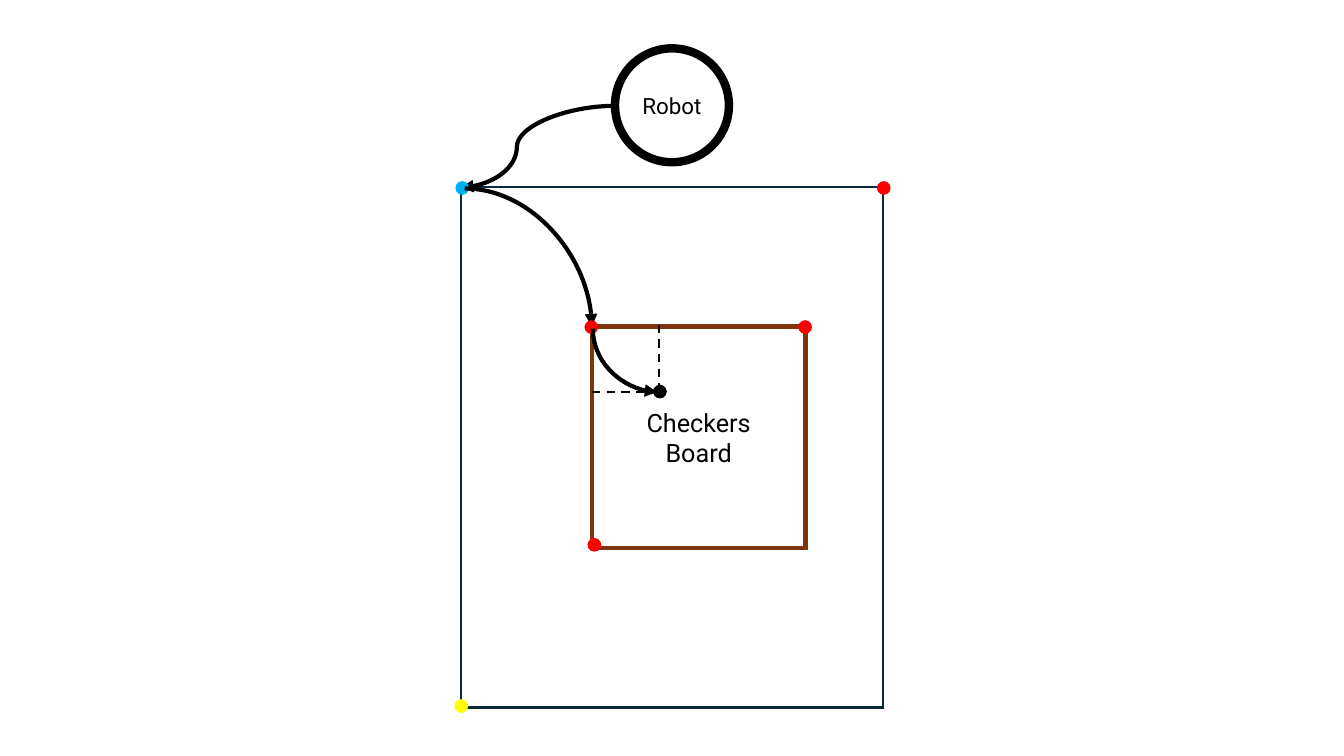
import dataclasses

import pptx
import pptx.dml.color
import pptx.enum.dml
import pptx.enum.shapes
import pptx.enum.text
import pptx.oxml.ns
import pptx.util
from lxml import etree

Inches = pptx.util.Inches
Pt = pptx.util.Pt
qn = pptx.oxml.ns.qn
SHAPES = pptx.enum.shapes.MSO_SHAPE
CONNECTORS = pptx.enum.shapes.MSO_CONNECTOR


@dataclasses.dataclass(frozen=True)
class Theme:
    font: str = "Roboto"
    ink: str = "000000"
    table_edge: str = "092A39"
    board_edge: str = "80350E"
    origin: str = "00B0F0"
    corner: str = "FF0000"
    far_corner: str = "FFFF00"
    robot_size: int = 16
    board_size: int = 18
    thin: float = 1.5
    medium: float = 3
    thick: float = 6
    dot: float = 0.05


class Diagram:
    def __init__(self, slide, theme):
        self.slide = slide
        self.theme = theme

    def stroke(self, line, color, width):
        line.color.rgb = pptx.dml.color.RGBColor.from_string(color)
        line.width = Pt(width)

    def outline(self, kind, left, top, width, height, color, weight):
        """Unfilled shape with a sharp-cornered outline."""
        figure = self.slide.shapes.add_shape(
            kind, Inches(left), Inches(top), Inches(width), Inches(height))
        figure.shadow.inherit = False
        figure.fill.background()
        self.stroke(figure.line, color, weight)
        etree.SubElement(figure.line._get_or_add_ln(), qn("a:miter"), lim="800000")
        return figure

    def label(self, figure, lines, size):
        """Centred text, one paragraph per line."""
        frame = figure.text_frame
        frame.word_wrap = True
        frame.vertical_anchor = pptx.enum.text.MSO_ANCHOR.MIDDLE
        frame.text = "\n".join(lines)
        for paragraph in frame.paragraphs:
            paragraph.alignment = pptx.enum.text.PP_ALIGN.CENTER
            paragraph.font.name = self.theme.font
            paragraph.font.size = Pt(size)
            paragraph.font.color.rgb = pptx.dml.color.RGBColor.from_string(self.theme.ink)

    def dot(self, left, top, color):
        size = self.theme.dot
        self.outline(SHAPES.OVAL, left, top, size, size, color, self.theme.thick)

    def connect(self, kind, start, end, weight):
        link = self.slide.shapes.add_connector(
            kind, *(Inches(value) for value in (*start, *end)))
        self.stroke(link.line, self.theme.ink, weight)
        etree.SubElement(link._element.spPr, qn("a:effectLst"))
        return link

    def guide(self, start, end):
        link = self.connect(CONNECTORS.STRAIGHT, start, end, self.theme.thin)
        link.line.dash_style = pptx.enum.dml.MSO_LINE.DASH

    def arrow(self, start, end, bend=None, down_first=False):
        """Curved arrow: an S with its turn at bend, otherwise a quarter turn."""
        if down_first:
            # A quarter turn that leaves downwards is a mirrored box rotated by 270 degrees
            (x1, y1), (x2, y2) = start, end
            middle_x, middle_y = (x1 + x2) / 2, (y1 + y2) / 2
            half_w, half_h = (y2 - y1) / 2, (x2 - x1) / 2
            start = middle_x + half_w, middle_y - half_h
            end = middle_x - half_w, middle_y + half_h
        link = self.connect(CONNECTORS.CURVE, start, end, self.theme.medium)
        properties = link._element.spPr
        if down_first:
            properties.find(qn("a:xfrm")).set("rot", str(270 * 60000))
        geometry = properties.find(qn("a:prstGeom"))
        if bend is None:
            geometry.set("prst", "curvedConnector2")
        else:
            etree.SubElement(geometry.find(qn("a:avLst")), qn("a:gd"),
                             name="adj1", fmla=f"val {round(bend * 100000)}")
        etree.SubElement(link.line._get_or_add_ln(), qn("a:tailEnd"), type="triangle")


def main():
    deck = pptx.Presentation()
    deck.slide_width, deck.slide_height = Inches(13.33), Inches(7.5)
    theme = Theme()
    diagram = Diagram(deck.slides.add_slide(deck.slide_layouts[6]), theme)

    # Robot and the table it works on
    robot = diagram.outline(SHAPES.OVAL, 6.1, 0.48, 1.13, 1.13, theme.ink, theme.thick)
    diagram.label(robot, ["Robot"], theme.robot_size)
    diagram.outline(SHAPES.RECTANGLE, 4.57, 1.86, 4.19, 5.16, theme.table_edge, theme.thin)
    diagram.arrow((6.1, 1.05), (4.57, 1.86), bend=0.636)

    # Table corners
    for left, top, color in ((4.56, 1.84, theme.origin),
                             (8.74, 1.84, theme.corner),
                             (4.55, 6.98, theme.far_corner)):
        diagram.dot(left, top, color)

    # Checkers board and its corners
    board = diagram.outline(SHAPES.RECTANGLE, 5.87, 3.24, 2.12, 2.2,
                            theme.board_edge, theme.medium)
    diagram.label(board, ["Checkers", "Board"], theme.board_size)
    diagram.arrow((4.61, 1.87), (5.87, 3.24))
    for left, top in ((5.84, 3.22), (7.96, 3.22), (5.87, 5.38)):
        diagram.dot(left, top, theme.corner)

    # Target point with its offsets from the board corner
    diagram.dot(6.52, 3.86, theme.ink)
    diagram.guide((5.87, 3.89), (6.52, 3.89))
    diagram.guide((6.54, 3.22), (6.54, 3.86))
    diagram.arrow((5.88, 3.26), (6.52, 3.89), down_first=True)

    deck.save("out.pptx")


if __name__ == "__main__":
    main()
